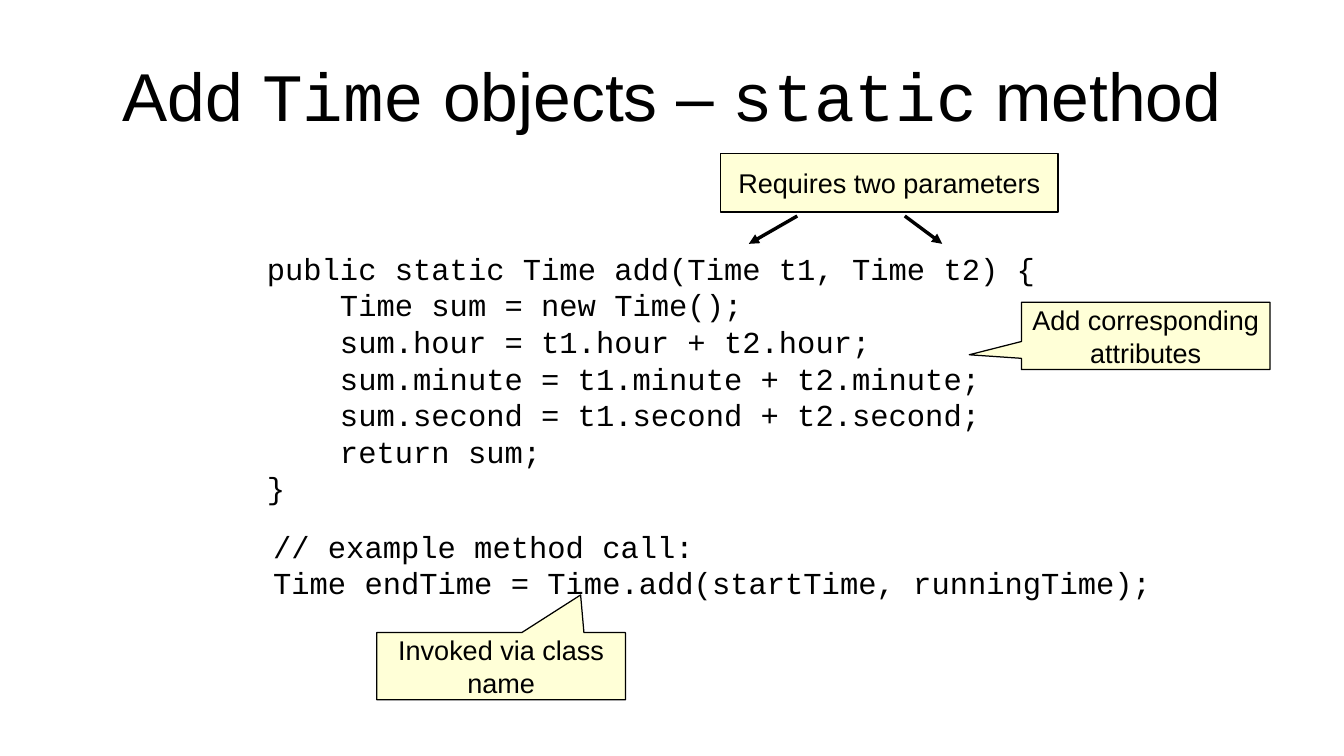
from lxml.etree import SubElement
from pptx import Presentation
from pptx.dml.color import RGBColor
from pptx.enum.shapes import MSO_CONNECTOR, MSO_SHAPE
from pptx.enum.text import MSO_ANCHOR, PP_ALIGN
from pptx.oxml.ns import qn
from pptx.util import Cm, Pt

BLACK = RGBColor(0, 0, 0)
CREAM = RGBColor(0xFF, 0xFF, 0xD7)
SANS = "Arial"
MONO = "Courier New"


class MethodSlide:
    def __init__(self, deck):
        self.page = deck.slides.add_slide(deck.slide_layouts[5])

    def style(self, font, name, size):
        font.name = name
        font.size = Pt(size)
        font.color.rgb = BLACK

    def title(self, spans, left, top, width, height):
        box = self.page.shapes.title
        box.left, box.top, box.width, box.height = map(Cm, (left, top, width, height))
        frame = box.text_frame
        frame.margin_left = frame.margin_right = frame.margin_top = frame.margin_bottom = 0
        frame.vertical_anchor = MSO_ANCHOR.MIDDLE
        paragraph = frame.paragraphs[0]
        paragraph.alignment = PP_ALIGN.CENTER
        for text, name in spans:
            span = paragraph.add_run()
            span.text = text
            self.style(span.font, name, 40)

    def code(self, lines, left, top, width, height):
        box = self.page.shapes.add_textbox(*map(Cm, (left, top, width, height)))
        frame = box.text_frame
        frame.word_wrap = True
        frame.text = "\n".join(text for text, indented in lines)
        for paragraph, (text, indented) in zip(frame.paragraphs, lines):
            self.style(paragraph.font, MONO, 18)
            paragraph.line_spacing = Pt(21.6)
            if indented:
                paragraph._p.get_or_add_pPr().set("marL", str(Pt(43.2)))

    def note(self, text, left, top, width, height, line=0, pointer=None):
        kind = MSO_SHAPE.RECTANGULAR_CALLOUT if pointer else MSO_SHAPE.RECTANGLE
        box = self.page.shapes.add_shape(kind, *map(Cm, (left, top, width, height)))
        if pointer:
            box.adjustments[0], box.adjustments[1] = pointer
        box.shadow.inherit = False
        box.fill.solid()
        box.fill.fore_color.rgb = CREAM
        box.line.color.rgb = BLACK
        box.line.width = Pt(line)
        frame = box.text_frame
        frame.word_wrap = False
        frame.vertical_anchor = MSO_ANCHOR.MIDDLE
        frame.text = text
        for paragraph in frame.paragraphs:
            paragraph.alignment = PP_ALIGN.CENTER
            self.style(paragraph.font, SANS, 16)

    def arrow(self, *ends):
        arrow = self.page.shapes.add_connector(MSO_CONNECTOR.STRAIGHT, *map(Cm, ends))
        arrow.line.color.rgb = BLACK
        arrow.line.width = Pt(0)
        SubElement(arrow.line._get_or_add_ln(), qn("a:tailEnd"), type="triangle")
        SubElement(arrow._element.spPr, qn("a:effectLst"))


deck = Presentation()
deck.slide_width, deck.slide_height = Cm(28), Cm(15.75)
slide = MethodSlide(deck)

slide.title(
    [("Add ", SANS), ("Time", MONO), (" objects – ", SANS), ("static", MONO), (" method", SANS)],
    1.4, 0.64, 25.2, 2.64,
)
slide.code(
    [
        ("public static Time add(Time t1, Time t2) {", False),
        ("Time sum = new Time();", True),
        ("sum.hour = t1.hour + t2.hour;", True),
        ("sum.minute = t1.minute + t2.minute;", True),
        ("sum.second = t1.second + t2.second;", True),
        ("return sum;", True),
        ("}", False),
    ],
    5.31, 5.08, 17.3, 5.59,
)
slide.note("Requires two parameters", 15.01, 3.2, 7.04, 1.22, line=1)
slide.arrow(16.61, 4.5, 15.6, 5.08)
slide.arrow(18.85, 4.5, 19.63, 5.08)
slide.note("Add corresponding\nattributes", 21.28, 6.3, 5.18, 1.4, pointer=(-0.71, 0.28))
slide.code(
    [
        ("// example method call:", False),
        ("Time endTime = Time.add(startTime, runningTime);", False),
    ],
    5.44, 10.87, 18.8, 1.7,
)
slide.note("Invoked via class\nname", 7.85, 13.18, 5.18, 1.4, pointer=(0.32, -1.06))

deck.save("out.pptx")
